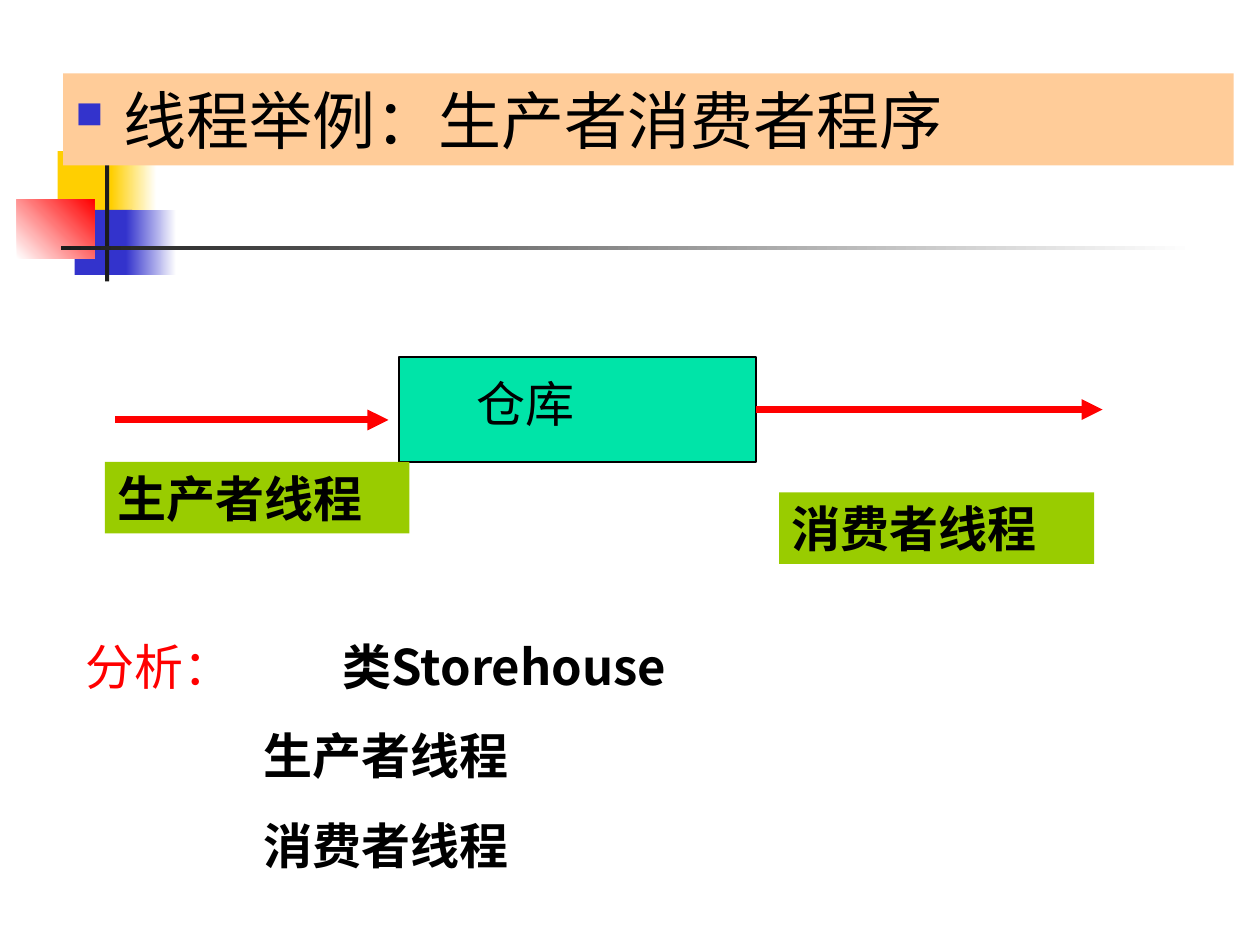
from dataclasses import dataclass

from lxml import etree
from pptx import Presentation
from pptx.dml.color import RGBColor
from pptx.enum.shapes import MSO_CONNECTOR, MSO_SHAPE
from pptx.enum.text import MSO_ANCHOR, PP_ALIGN
from pptx.oxml.ns import qn
from pptx.util import Inches, Pt

RECT = MSO_SHAPE.RECTANGLE
STRAIGHT = MSO_CONNECTOR.STRAIGHT
TOP, MIDDLE = MSO_ANCHOR.TOP, MSO_ANCHOR.MIDDLE
LEFT = PP_ALIGN.LEFT
RIGHT_SIDE = 3


@dataclass(frozen=True)
class Theme:
    ink: str = "000000"
    white: str = "FFFFFF"
    rule: str = "1C1C1C"
    yellow: str = "FFCF01"
    blue: str = "3333CC"
    red: str = "FF0000"
    banner: str = "FFCC99"
    store: str = "00E4A8"
    label: str = "99CC00"
    font: str = "Cabin"
    analysis_font: str = "Noto Sans CJK SC"
    title_size: int = 36
    body_size: int = 28
    space_before: float = 17.5


class SlideBuilder:
    """Places elements on a grid of twelve cells to the inch."""

    def __init__(self, slide, theme):
        self.slide = slide
        self.theme = theme

    def cells(self, *counts):
        return [Inches(count / 12) for count in counts]

    def block(self, box, color, fade_to=None, angle=0, outline=None):
        shape = self.slide.shapes.add_shape(RECT, *self.cells(*box))
        shape.shadow.inherit = False
        if fade_to:
            shape.fill.gradient()
            shape.fill.gradient_angle = angle
            for stop, stop_color in zip(shape.fill.gradient_stops, (color, fade_to)):
                stop.color.rgb = RGBColor.from_string(stop_color)
        else:
            shape.fill.solid()
            shape.fill.fore_color.rgb = RGBColor.from_string(color)
        if outline:
            shape.line.color.rgb = RGBColor.from_string(outline)
            shape.line.width = Pt(0.75)
        else:
            shape.line.fill.background()
        return shape

    def text_box(self, box):
        return self.slide.shapes.add_textbox(*self.cells(*box))

    def frame(self, shape, anchor=TOP):
        frame = shape.text_frame
        frame.word_wrap = True
        frame.vertical_anchor = anchor
        frame.margin_left = frame.margin_right = Inches(0.1)
        frame.margin_top = frame.margin_bottom = Inches(0.05)
        return frame

    def indent(self, paragraph, left, first=0):
        properties = paragraph._p.get_or_add_pPr()
        properties.set("marL", str(Inches(left)))
        properties.set("indent", str(Inches(first)))
        return properties

    def bullet(self, paragraph, hang):
        properties = self.indent(paragraph, hang, -hang)
        color = etree.SubElement(properties, qn("a:buClr"))
        etree.SubElement(color, qn("a:srgbClr"), val=self.theme.blue)
        etree.SubElement(properties, qn("a:buSzPct"), val="60000")
        etree.SubElement(properties, qn("a:buChar"), char="■")

    def tab(self, paragraph, position):
        tabs = etree.SubElement(paragraph._p.get_or_add_pPr(), qn("a:tabLst"))
        etree.SubElement(tabs, qn("a:tab"), pos=str(Inches(position)), algn="l")

    def run(self, paragraph, text, color=None, size=None, bold=False, font=None):
        paragraph.alignment = LEFT
        run = paragraph.add_run()
        run.text = text
        run.font.name = font or self.theme.font
        run.font.size = Pt(size or self.theme.body_size)
        run.font.bold = bold
        run.font.color.rgb = RGBColor.from_string(color or self.theme.ink)
        latin = run._r.rPr.find(qn("a:latin"))
        latin.addnext(etree.Element(qn("a:ea"), typeface=self.theme.font))

    def label(self, box, text):
        tag = self.block(box, self.theme.label)
        self.run(self.frame(tag).paragraphs[0], text, bold=True)

    def arrow(self, start, end, source=None):
        line = self.slide.shapes.add_connector(STRAIGHT, *self.cells(*start, *end))
        if source is not None:
            line.begin_connect(source, RIGHT_SIDE)
        line.line.color.rgb = RGBColor.from_string(self.theme.red)
        line.line.width = Pt(4)
        etree.SubElement(line.line._get_or_add_ln(), qn("a:tailEnd"), type="triangle")
        etree.SubElement(line._element.spPr, qn("a:effectLst"))


def main():
    theme = Theme()
    deck = Presentation()
    deck.slide_width, deck.slide_height = Inches(10), Inches(7.5)
    page = SlideBuilder(deck.slides.add_slide(deck.slide_layouts[6]), theme)

    # Corner ornament with its two rules
    page.block((5.5, 14.4, 5.8, 6.2), theme.yellow)
    page.block((10.6, 14.4, 4.3, 6.2), theme.yellow, theme.white)
    page.block((7.1, 20, 5.5, 6.2), theme.blue)
    page.block((12, 20, 4.8, 6.2), theme.blue, theme.white)
    page.block((1.6, 19, 7.4, 5.6), theme.white, theme.red, angle=45)
    page.block((10, 13, 0.4, 13.8), theme.rule)
    page.block((5.8, 23.4, 108, 0.4), theme.rule, theme.white)

    # Title banner
    banner = page.block((6, 7, 111.5, 8.75), theme.banner)
    title = page.frame(banner, MIDDLE).paragraphs[0]
    page.bullet(title, 0.38)
    page.run(title, "线程举例：生产者消费者程序", size=theme.title_size)

    # Storehouse between producer and consumer
    storehouse = page.block((38, 34, 34, 10), theme.store, outline=theme.ink)
    store_name = page.frame(page.text_box((38, 35, 32, 6.8))).paragraphs[0]
    page.indent(store_name, 0.52)
    page.run(store_name, "仓库")
    page.arrow((11, 40), (37, 40))
    page.label((10, 44, 29, 6.8), "生产者线程")
    page.arrow((72, 39), (105, 39), source=storehouse)
    page.label((74.2, 46.9, 30, 6.8), "消费者线程")

    # Analysis
    analysis = page.frame(page.text_box((7, 60, 108, 23.9)))
    heading = analysis.paragraphs[0]
    page.tab(heading, 2.04)
    page.run(heading, "分析：\t", theme.red, font=theme.analysis_font)
    page.run(heading, "类Storehouse", bold=True, font=theme.analysis_font)
    for thread in ("生产者线程", "消费者线程"):
        item = analysis.add_paragraph()
        page.indent(item, 1.41)
        item.space_before = Pt(theme.space_before)
        page.run(item, thread, bold=True, font=theme.analysis_font)

    deck.save("out.pptx")


if __name__ == "__main__":
    main()
